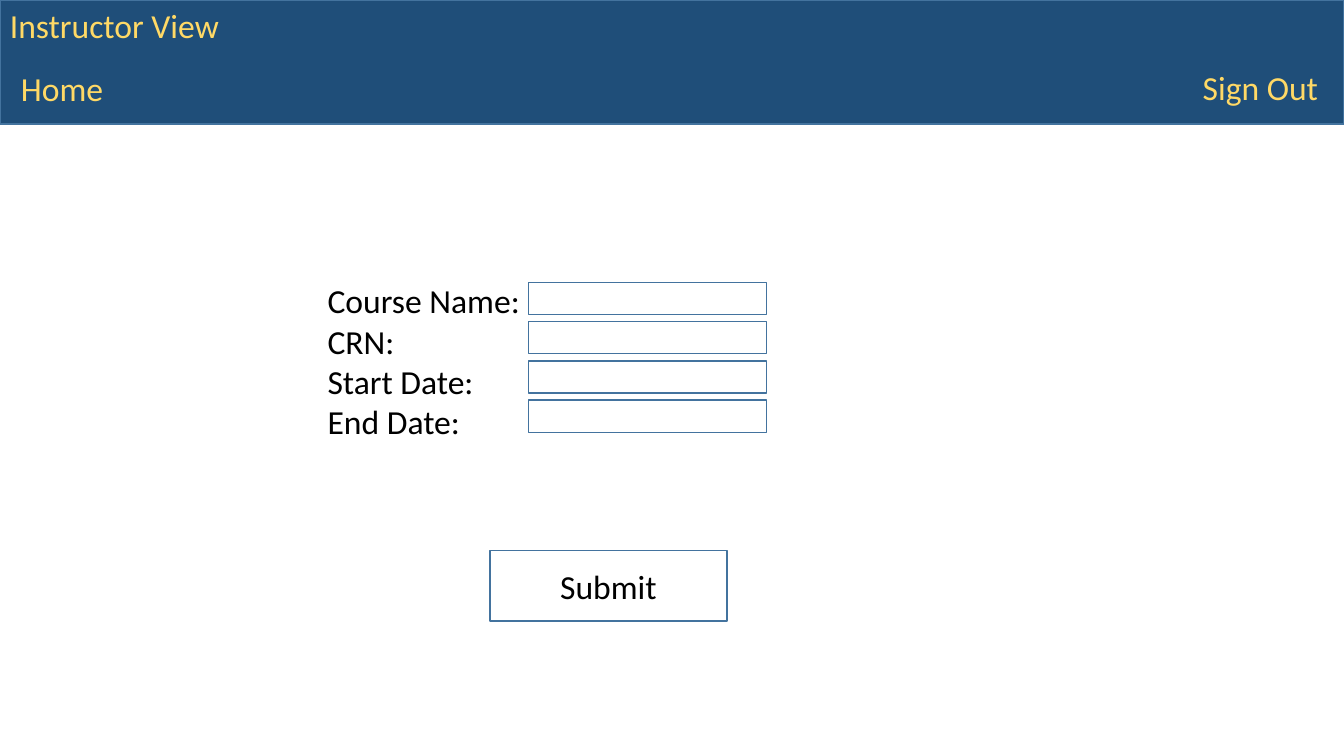
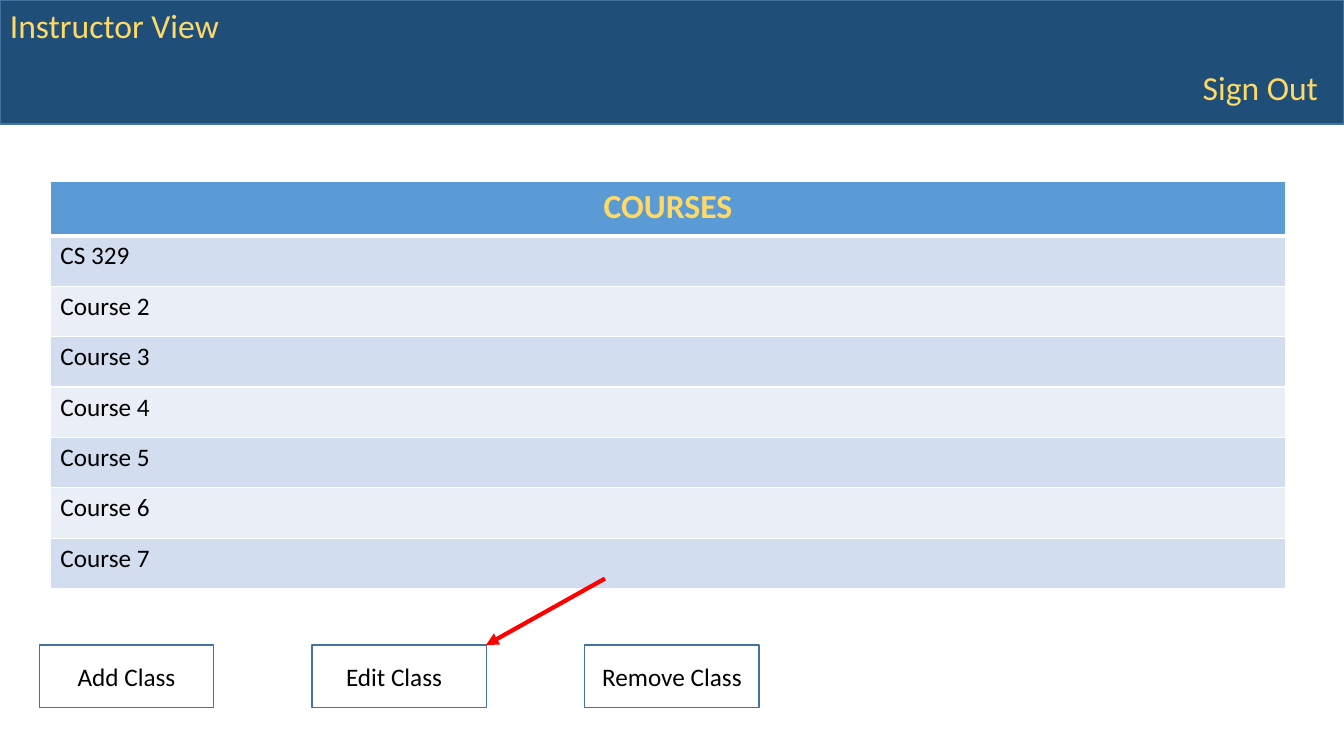
from lxml.etree import SubElement
from pptx import Presentation
from pptx.dml.color import RGBColor
from pptx.enum.shapes import MSO_CONNECTOR, MSO_SHAPE
from pptx.enum.text import MSO_ANCHOR, PP_ALIGN
from pptx.oxml.ns import qn
from pptx.util import Inches, Pt

NAVY = RGBColor(0x1F, 0x4E, 0x79)
OUTLINE = RGBColor(0x43, 0x73, 0x9E)
GOLD = RGBColor(0xFF, 0xD9, 0x66)
BLUE = RGBColor(0x5B, 0x9B, 0xD5)
BAND_DARK = RGBColor(0xD2, 0xDE, 0xEF)
BAND_LIGHT = RGBColor(0xEA, 0xEF, 0xF7)
BLACK = RGBColor(0, 0, 0)
RED = RGBColor(0xFF, 0, 0)
FONT = "Calibri"
SLIDE_WIDTH, SLIDE_HEIGHT = 13.33, 7.5

FIELDS = ["Course Name:", "CRN:", "Start Date:", "End Date:"]
COURSES = ["CS 329"] + [f"Course {number}" for number in range(2, 8)]


def write(frame, *lines, size=24, color=BLACK, bold=False, align=PP_ALIGN.LEFT):
    for index, line in enumerate(lines):
        para = frame.paragraphs[0] if index == 0 else frame.add_paragraph()
        para.alignment = align
        span = para.add_run()
        span.text = line
        span.font.name = FONT
        span.font.size = Pt(size)
        span.font.bold = bold
        span.font.color.rgb = color


def add_text(page, left, top, width, height, *lines, **style):
    box = page.shapes.add_textbox(Inches(left), Inches(top), Inches(width), Inches(height))
    box.text_frame.word_wrap = True
    write(box.text_frame, *lines, **style)


def add_box(page, left, top, width, height, fill=None):
    box = page.shapes.add_shape(
        MSO_SHAPE.RECTANGLE, Inches(left), Inches(top), Inches(width), Inches(height))
    box.shadow.inherit = False
    if fill is None:
        box.fill.background()
    else:
        box.fill.solid()
        box.fill.fore_color.rgb = fill
    box.line.color.rgb = OUTLINE
    box.line.width = Pt(1)
    return box


def add_button(page, left, top, width, height, label, size, right_inset=0.1):
    frame = add_box(page, left, top, width, height).text_frame
    frame.word_wrap = True
    frame.vertical_anchor = MSO_ANCHOR.MIDDLE
    frame.margin_right = Inches(right_inset)
    write(frame, label, size=size, align=PP_ALIGN.CENTER)


def add_page(deck):
    page = deck.slides.add_slide(deck.slide_layouts[6])
    add_box(page, 0, 0, SLIDE_WIDTH, 1.23, fill=NAVY)
    add_text(page, 11.83, 0.61, 1.64, 0.5, "Sign Out", color=GOLD)
    add_text(page, 0, 0, 2.3, 0.5, "Instructor View", color=GOLD)
    return page


def set_borders(cell, top=1, bottom=1):
    properties = cell._tc.get_or_add_tcPr()
    for side, points in (("L", 1), ("R", 1), ("T", top), ("B", bottom)):
        border = SubElement(properties, qn(f"a:ln{side}"), w=str(Pt(points)))
        fill = SubElement(border, qn("a:solidFill"))
        SubElement(fill, qn("a:srgbClr"), val="FFFFFF")


def format_cell(cell, fill, text, top=1, bottom=1, **style):
    set_borders(cell, top, bottom)
    cell.fill.solid()
    cell.fill.fore_color.rgb = fill
    write(cell.text_frame, text, **style)


def add_course_table(page):
    row_count = len(COURSES) + 1
    table = page.shapes.add_table(
        row_count, 1, Inches(0.5), Inches(1.8), Inches(12.25), Inches(4.04)).table
    for index, row in enumerate(table.rows):
        row.height = Inches(0.5 if index else 0.54)
    format_cell(table.cell(0, 0), BLUE, "COURSES", bottom=3,
                color=GOLD, bold=True, align=PP_ALIGN.CENTER)
    for index, course in enumerate(COURSES, start=1):
        fill = BAND_DARK if index % 2 else BAND_LIGHT
        format_cell(table.cell(index, 0), fill, course, top=3 if index == 1 else 1, size=18)


def add_arrow(page, start, end):
    arrow = page.shapes.add_connector(
        MSO_CONNECTOR.STRAIGHT, *(Inches(value) for value in start + end))
    arrow.line.color.rgb = RED
    arrow.line.width = Pt(3)
    SubElement(arrow.line._get_or_add_ln(), qn("a:tailEnd"), type="triangle")
    SubElement(arrow._element.spPr, qn("a:effectLst"))


def build_form(deck):
    page = add_page(deck)
    add_text(page, 0.11, 0.62, 1.04, 0.5, "Home", color=GOLD)
    add_text(page, 3.15, 2.73, 2.39, 1.72, *FIELDS)
    for index in range(len(FIELDS)):
        add_box(page, 5.24, 2.8 + 0.39 * index, 2.36, 0.32)
    add_button(page, 4.86, 5.46, 2.35, 0.7, "Submit", 24)


def build_courses(deck):
    page = add_page(deck)
    add_course_table(page)
    buttons = [("Add Class", 0.1), ("Edit Class", 0.2), ("Remove Class", 0.1)]
    for index, (label, right_inset) in enumerate(buttons):
        add_button(page, 0.39 + 2.705 * index, 6.4, 1.73, 0.62, label, 18, right_inset)
    add_arrow(page, (6, 5.74), (4.82, 6.4))


def main():
    deck = Presentation()
    deck.slide_width = Inches(SLIDE_WIDTH)
    deck.slide_height = Inches(SLIDE_HEIGHT)
    build_form(deck)
    build_courses(deck)
    deck.save("out.pptx")


if __name__ == "__main__":
    main()
